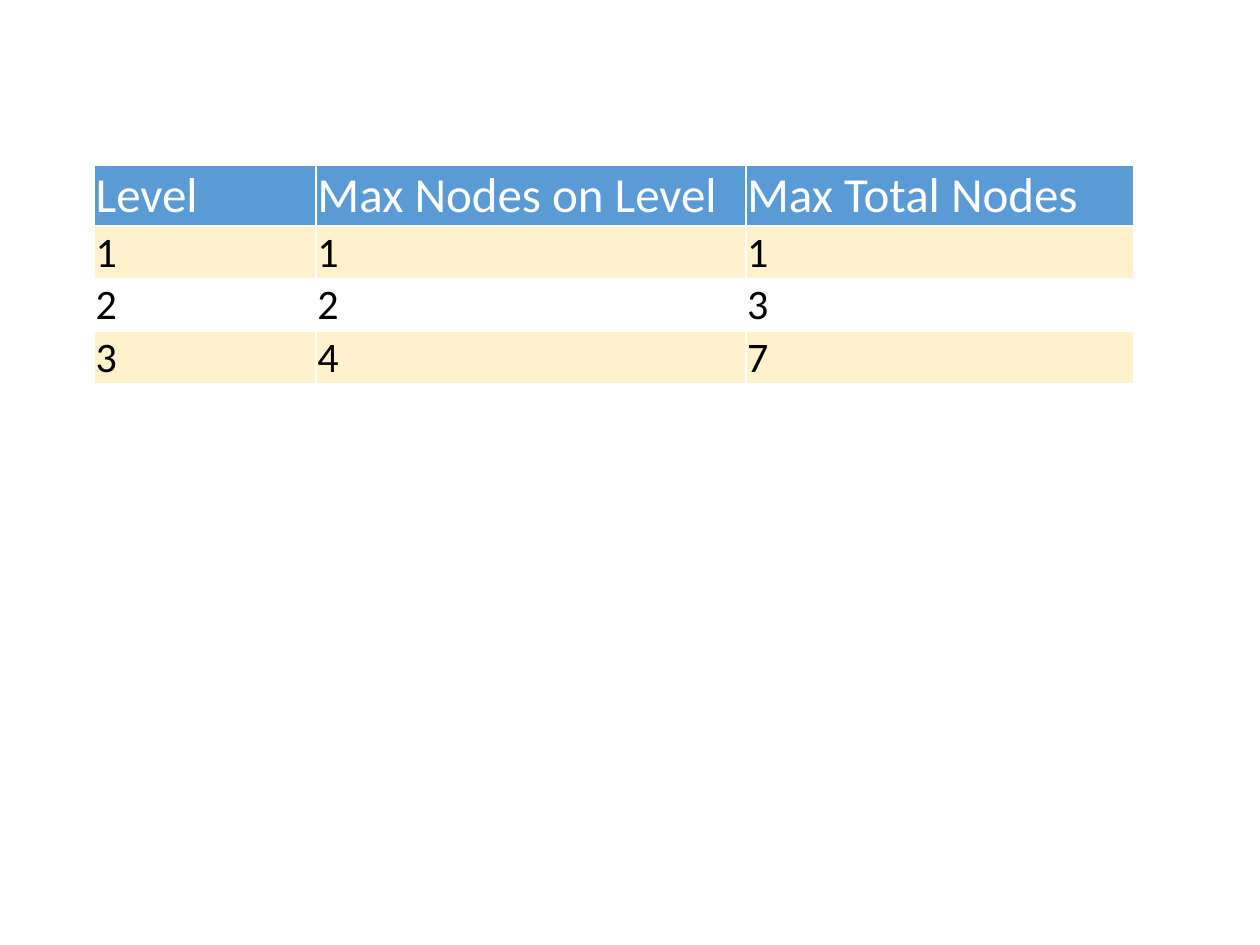
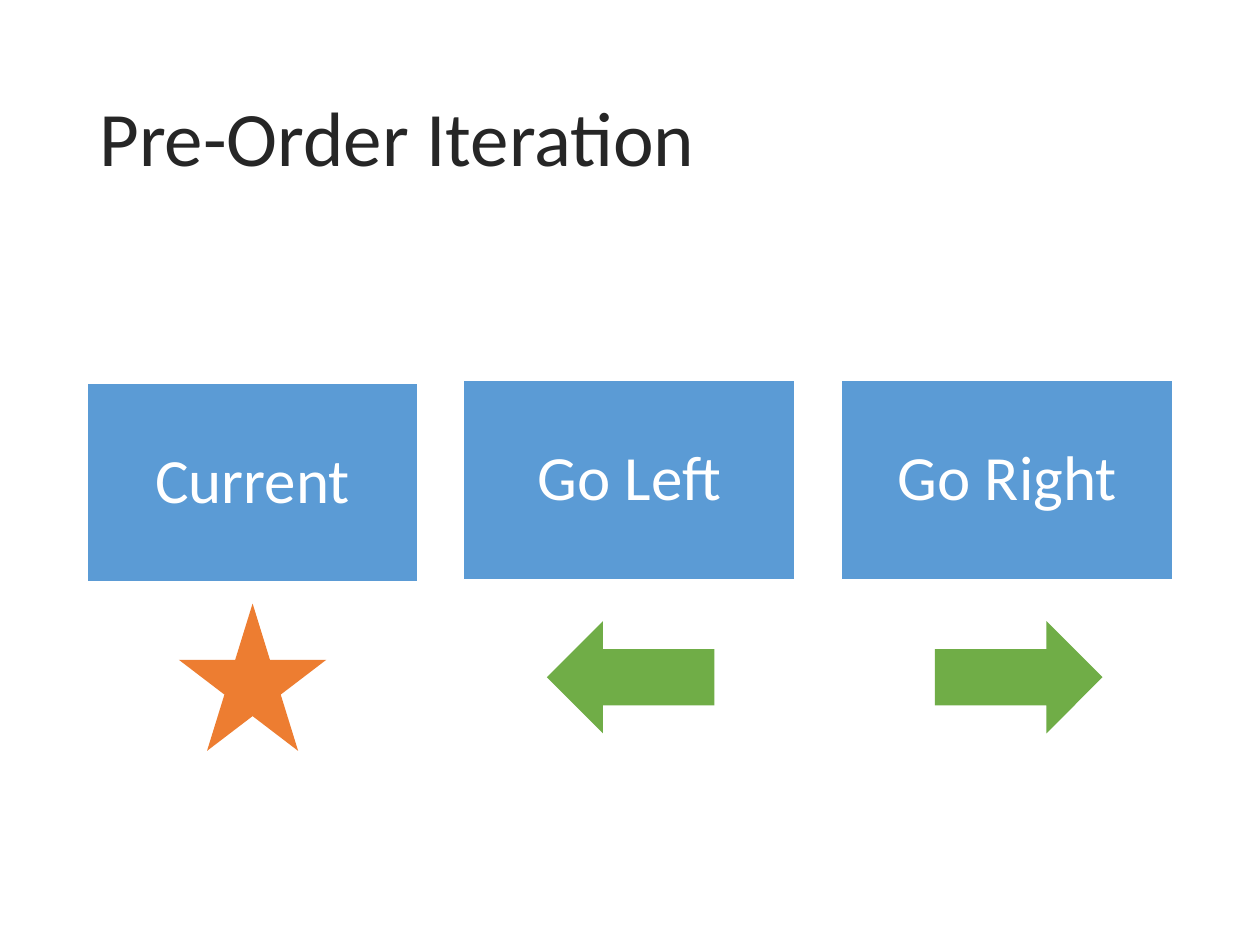
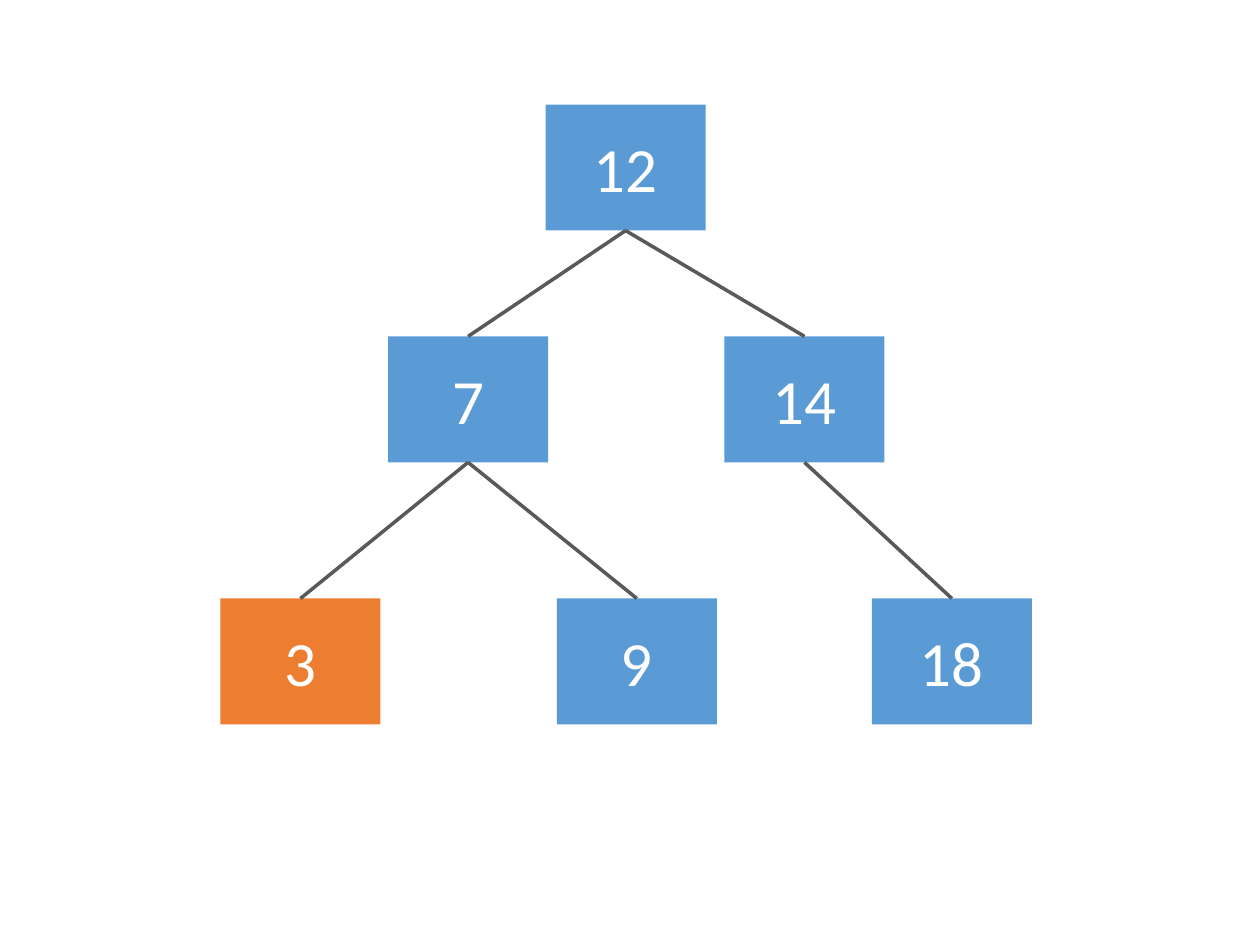
from lxml import etree
from pptx import Presentation
from pptx.dml.color import RGBColor
from pptx.enum.shapes import MSO_CONNECTOR, MSO_SHAPE
from pptx.enum.text import MSO_ANCHOR, PP_ALIGN
from pptx.oxml.ns import qn
from pptx.util import Inches, Pt

RECT, STAR, ARROW = MSO_SHAPE.RECTANGLE, MSO_SHAPE.STAR_5_POINT, MSO_SHAPE.UP_ARROW
STRAIGHT = MSO_CONNECTOR.STRAIGHT
MIDDLE, BOTTOM = MSO_ANCHOR.MIDDLE, MSO_ANCHOR.BOTTOM
LEFT, CENTER = PP_ALIGN.LEFT, PP_ALIGN.CENTER
TOP_SITE, BOTTOM_SITE = 0, 2

FONT = "Calibri"
COLORS = {
    "blue": "5B9BD5", "orange": "ED7D31", "green": "70AD47", "cream": "FFF2CC",
    "white": "FFFFFF", "black": "000000", "title": "262626", "edge": "595959",
}

# Content
LEVELS = [
    ("Level", "Max Nodes on Level", "Max Total Nodes"),
    ("1", "1", "1"),
    ("2", "2", "3"),
    ("3", "4", "7"),
]
COLUMN_WIDTHS = (1.76, 3.41, 3.08)
HEADER_HEIGHT, ROW_HEIGHT = 0.48, 0.41

TITLE = "Pre-Order Iteration"
CARD_W, CARD_H = 2.63, 1.58
# text, card left and top, symbol, symbol colour, symbol box, rotation
STEPS = [
    ("Current", 0.69, 3.04, STAR, "orange", (1.42, 4.79, 1.17, 1.17), 0),
    ("Go Left", 3.68, 3.02, ARROW, "green", (4.56, 4.71, 0.89, 1.33), 270),
    ("Go Right", 6.68, 3.02, ARROW, "green", (7.64, 4.71, 0.89, 1.33), 90),
]

NODE_W, NODE_H = 1.27, 1
# value: left, top, colour
NODES = {
    "12": (4.33, 0.83, "blue"),
    "7": (3.08, 2.67, "blue"),
    "14": (5.75, 2.67, "blue"),
    "3": (1.75, 4.75, "orange"),
    "9": (4.42, 4.75, "blue"),
    "18": (6.92, 4.75, "blue"),
}
EDGES = [("12", "7"), ("12", "14"), ("7", "3"), ("7", "9"), ("14", "18")]


def rgb(name):
    return RGBColor.from_string(COLORS[name])


def write(tf, text, size, color, align=LEFT, spacing=None):
    tf.text = text
    p = tf.paragraphs[0]
    p.alignment = align
    if spacing:
        p.line_spacing = spacing
    font = p.runs[0].font
    font.name, font.size, font.color.rgb = FONT, Pt(size), rgb(color)


def add_shape(slide, kind, box, color, text=None, outline=None, spacing=None):
    sp = slide.shapes.add_shape(kind, *map(Inches, box))
    sp.shadow.inherit = False
    sp.fill.solid()
    sp.fill.fore_color.rgb = rgb(color)
    if outline:
        sp.line.color.rgb = rgb(outline)
        sp.line.width = Pt(1)
    else:
        sp.line.fill.background()
    if text:
        tf = sp.text_frame
        tf.word_wrap = True
        tf.vertical_anchor = MIDDLE
        write(tf, text, 36, "white", CENTER, spacing)
    return sp


def add_title(slide, text):
    tf = slide.shapes.add_textbox(*map(Inches, (0.69, 0.4, 8.62, 1.45))).text_frame
    tf.word_wrap = True
    tf.vertical_anchor = MIDDLE
    write(tf, text, 44, "title", spacing=0.9)


def set_borders(cell, color):
    tc_pr = cell._tc.get_or_add_tcPr()
    for i, side in enumerate(("lnL", "lnR", "lnT", "lnB")):
        ln = etree.Element(qn("a:" + side), w=str(Pt(1)))
        fill = etree.SubElement(ln, qn("a:solidFill"))
        etree.SubElement(fill, qn("a:srgbClr"), val=COLORS[color])
        tc_pr.insert(i, ln)


def fill_cell(cell, text, row):
    cell.margin_left = cell.margin_right = cell.margin_top = Inches(0.01)
    cell.margin_bottom = 0
    cell.vertical_anchor = BOTTOM
    header = row == 0
    write(cell.text_frame, text, 28 if header else 24, "white" if header else "black")
    if header or row % 2:
        cell.fill.solid()
        cell.fill.fore_color.rgb = rgb("blue" if header else "cream")
    else:
        cell.fill.background()
    set_borders(cell, "white")


def build_levels(slide):
    heights = [HEADER_HEIGHT] + [ROW_HEIGHT] * (len(LEVELS) - 1)
    box = (0.75, 1.31, sum(COLUMN_WIDTHS), sum(heights))
    table = slide.shapes.add_table(len(LEVELS), len(COLUMN_WIDTHS), *map(Inches, box)).table
    for column, width in zip(table.columns, COLUMN_WIDTHS):
        column.width = Inches(width)
    for r, (values, height) in enumerate(zip(LEVELS, heights)):
        table.rows[r].height = Inches(height)
        for c, value in enumerate(values):
            fill_cell(table.cell(r, c), value, r)


def build_steps(slide):
    add_title(slide, TITLE)
    for text, left, top, symbol, color, symbol_box, rotation in STEPS:
        card = add_shape(slide, RECT, (left, top, CARD_W, CARD_H), "blue", text, "white", 0.9)
        tf = card.text_frame
        tf.margin_left = tf.margin_right = tf.margin_top = tf.margin_bottom = Inches(0.2)
        add_shape(slide, symbol, symbol_box, color).rotation = rotation


def build_tree(slide):
    nodes = {
        value: add_shape(slide, RECT, (left, top, NODE_W, NODE_H), color, value)
        for value, (left, top, color) in NODES.items()
    }
    for parent, child in EDGES:
        edge = slide.shapes.add_connector(STRAIGHT, 0, 0, 0, 0)
        edge.begin_connect(nodes[parent], BOTTOM_SITE)
        edge.end_connect(nodes[child], TOP_SITE)
        edge.line.color.rgb = rgb("edge")
        edge.line.width = Pt(2)
        etree.SubElement(edge._element.spPr, qn("a:effectLst"))


def main():
    prs = Presentation()
    prs.slide_width, prs.slide_height = Inches(10), Inches(7.5)
    for build in (build_levels, build_steps, build_tree):
        build(prs.slides.add_slide(prs.slide_layouts[6]))
    prs.save("out.pptx")


if __name__ == "__main__":
    main()
